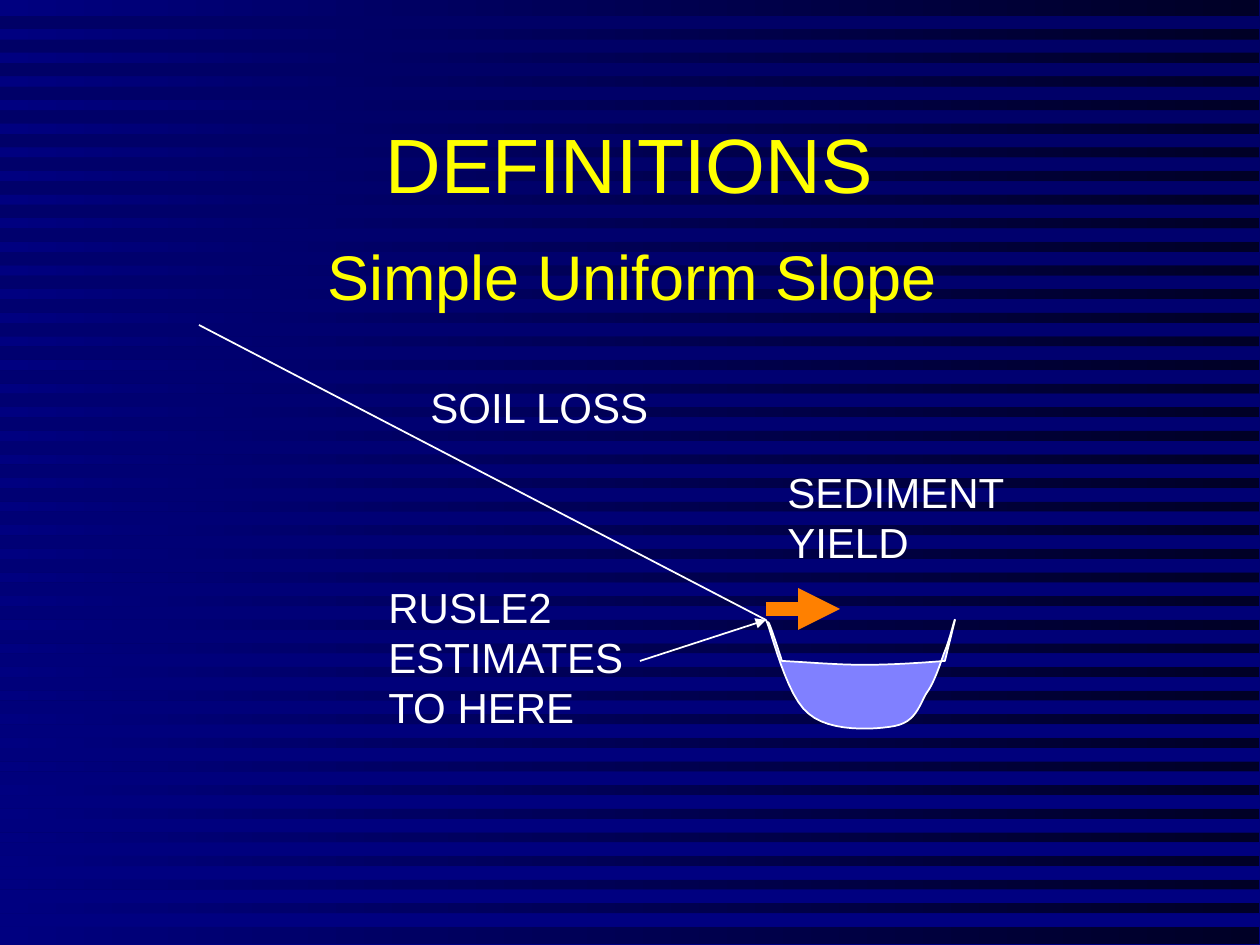
from lxml import etree
from pptx import Presentation
from pptx.dml.color import RGBColor
from pptx.enum.shapes import MSO_CONNECTOR, MSO_SHAPE
from pptx.enum.text import MSO_ANCHOR, MSO_AUTO_SIZE, PP_ALIGN
from pptx.oxml.ns import qn
from pptx.util import Pt

STRAIGHT = MSO_CONNECTOR.STRAIGHT
RECTANGLE = MSO_SHAPE.RECTANGLE
MIDDLE = MSO_ANCHOR.MIDDLE
NO_AUTOFIT = MSO_AUTO_SIZE.NONE
FIT_SHAPE = MSO_AUTO_SIZE.SHAPE_TO_FIT_TEXT
LEFT, CENTER = PP_ALIGN.LEFT, PP_ALIGN.CENTER

EMU_PER_PX = 914400 / 126
FONT = "Arial"
COLORS = {
    "night": "000026",
    "navy": "000066",
    "blue": "000080",
    "heading": "FFFF00",
    "ink": "FFFFFF",
    "water": "8080FF",
    "sediment": "FF8000",
}
TITLE_ONLY = 5
STRIPE_COUNT, STRIPE_HEIGHT, STRIPE_PITCH = 39, 13, 23.62
CURVE_STEPS = 12


def px(length):
    return round(length * EMU_PER_PX)


def color(name):
    return RGBColor.from_string(COLORS[name])


def fill_gradient(fill, start, end, angle):
    fill.gradient()
    fill.gradient_angle = angle
    for stop, name, position in zip(fill.gradient_stops, (start, end), (0, 1)):
        stop.color.rgb = color(name)
        stop.position = position


def write(frame, lines, size, ink, align=LEFT):
    for index, line in enumerate(lines):
        para = frame.paragraphs[0] if index == 0 else frame.add_paragraph()
        para.alignment = align
        span = para.add_run()
        span.text = line
        span.font.name = FONT
        span.font.size = Pt(size)
        span.font.color.rgb = color(ink)


def add_text(page, box, lines, size, ink, wrap=False):
    text_box = page.shapes.add_textbox(*map(px, box))
    text_box.text_frame.word_wrap = wrap
    text_box.text_frame.auto_size = FIT_SHAPE
    write(text_box.text_frame, lines, size, ink)


def add_line(page, start, end, ink, width, arrow=False):
    line = page.shapes.add_connector(STRAIGHT, *map(px, (*start, *end)))
    line.line.color.rgb = color(ink)
    line.line.width = Pt(width)
    if arrow:
        etree.SubElement(line.line._get_or_add_ln(), qn("a:tailEnd"), type="triangle")
    etree.SubElement(line._element.spPr, qn("a:effectLst"))


def add_outline(page, points):
    start, *rest = [(px(x), px(y)) for x, y in points]
    builder = page.shapes.build_freeform(*start)
    builder.add_line_segments(rest, close=True)
    outline = builder.convert_to_shape()
    outline.shadow.inherit = False
    return outline


def curve_points(start, curves):
    points = [start]
    for first, second, end in curves:
        origin = points[-1]
        for step in range(1, CURVE_STEPS + 1):
            t = step / CURVE_STEPS
            weights = ((1 - t) ** 3, 3 * t * (1 - t) ** 2, 3 * t * t * (1 - t), t ** 3)
            controls = (origin, first, second, end)
            points.append(tuple(
                sum(weight * control[axis] for weight, control in zip(weights, controls))
                for axis in (0, 1)
            ))
    return points


def build_backdrop(deck, page, box):
    left, top, width, height = box
    right = left + width
    fill_gradient(page.background.fill, "navy", "blue", 270)

    panel = page.shapes.add_shape(RECTANGLE, *map(px, (left, top, width - 1, height - 1)))
    panel.shadow.inherit = False
    fill_gradient(panel.fill, "night", "blue", 180)

    comb = []
    for index in range(STRIPE_COUNT):
        upper = top + 16 + index * STRIPE_PITCH
        lower = upper + STRIPE_HEIGHT
        comb += [(right, upper), (left, upper), (left, lower), (right, lower)]
    stripes = add_outline(page, comb)
    fill_gradient(stripes.fill, "navy", "blue", 270)

    master_tree = deck.slide_master.shapes._spTree
    for position, shape in enumerate((panel, stripes), start=2):
        shape.line.fill.background()
        master_tree.insert(position, shape._element)


def build_heading(page, box):
    left, top, width, height = box
    title = page.shapes.title
    title.left, title.top, title.width, title.height = map(px, box)
    title.text_frame.auto_size = NO_AUTOFIT
    title.text_frame.vertical_anchor = MIDDLE
    write(title.text_frame, ["DEFINITIONS"], 44, "heading", CENTER)
    subtitle = (left + 221, top + 147, 683, 88)
    add_text(page, subtitle, ["Simple Uniform Slope"], 36, "heading", wrap=True)


def build_channel(page, box):
    left, top = box[:2]

    def at(x, y):
        return left + x, top + y

    curves = [
        (at(-2, -15), at(4, 9), at(0, 0)),
        (at(5, 9), at(20, 77), at(43, 94)),
        (at(64, 112), at(108, 110), at(129, 106)),
        (at(149, 102), at(153, 87), at(160, 74)),
        (at(169, 62), at(174, 44), at(179, 31)),
        (at(184, 19), at(189, -3), at(189, 0)),
        (at(189, 1), at(190, -4), at(179, 41)),
        (at(93, 48), at(73, 44), at(16, 41)),
    ]
    channel = add_outline(page, curve_points(at(16, 41), curves))
    channel.fill.solid()
    channel.fill.fore_color.rgb = color("water")
    channel.line.color.rgb = color("ink")
    channel.line.width = Pt(1)


def build_slope(page, box):
    left, top, width, height = box
    foot = (left + 567, top + 295)
    add_line(page, (left, top), foot, "ink", 1)
    labels = [
        ((219, 50, 244, 63), ["SOIL LOSS"]),
        ((576, 135, 242, 113), ["SEDIMENT", "YIELD"]),
        ((177, 250, 275, 164), ["RUSLE2", "ESTIMATES", "TO HERE"]),
    ]
    for (x, y, label_width, label_height), lines in labels:
        add_text(page, (left + x, top + y, label_width, label_height), lines, 24, "ink")
    add_line(page, (left + 567, top + 284), (left + 641, top + 284), "sediment", 8, arrow=True)
    add_line(page, (left + 441, top + 336), foot, "ink", 1, arrow=True)
    build_channel(page, (*foot, 190, 112))


def main():
    deck = Presentation()
    deck.slide_width, deck.slide_height = px(1260), px(945)
    page = deck.slides.add_slide(deck.slide_layouts[TITLE_ONLY])
    build_backdrop(deck, page, (0, 0, 1260, 945))
    build_heading(page, (94, 84, 1071, 158))
    build_slope(page, (199, 325, 819, 414))
    deck.save("out.pptx")


if __name__ == "__main__":
    main()
